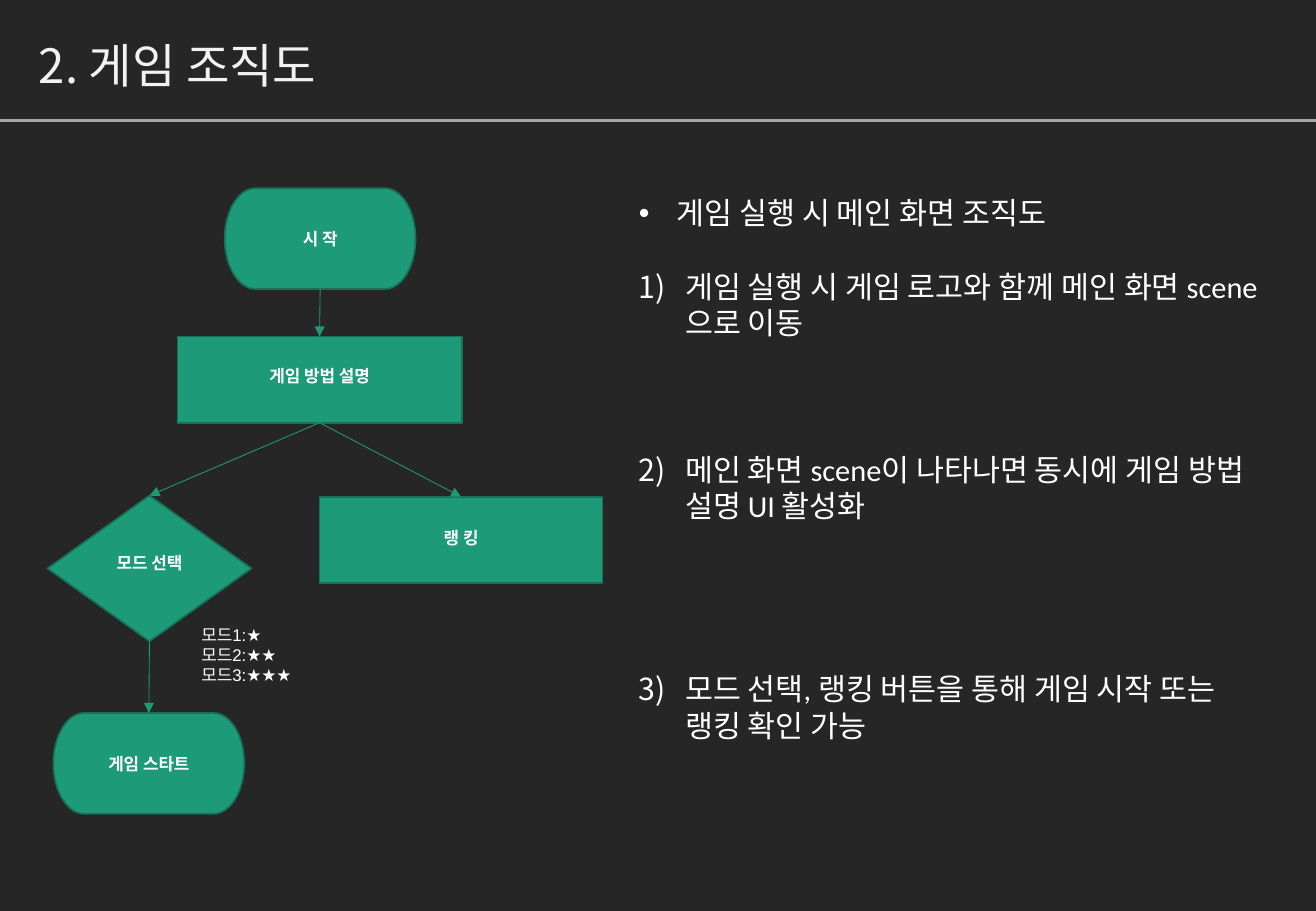
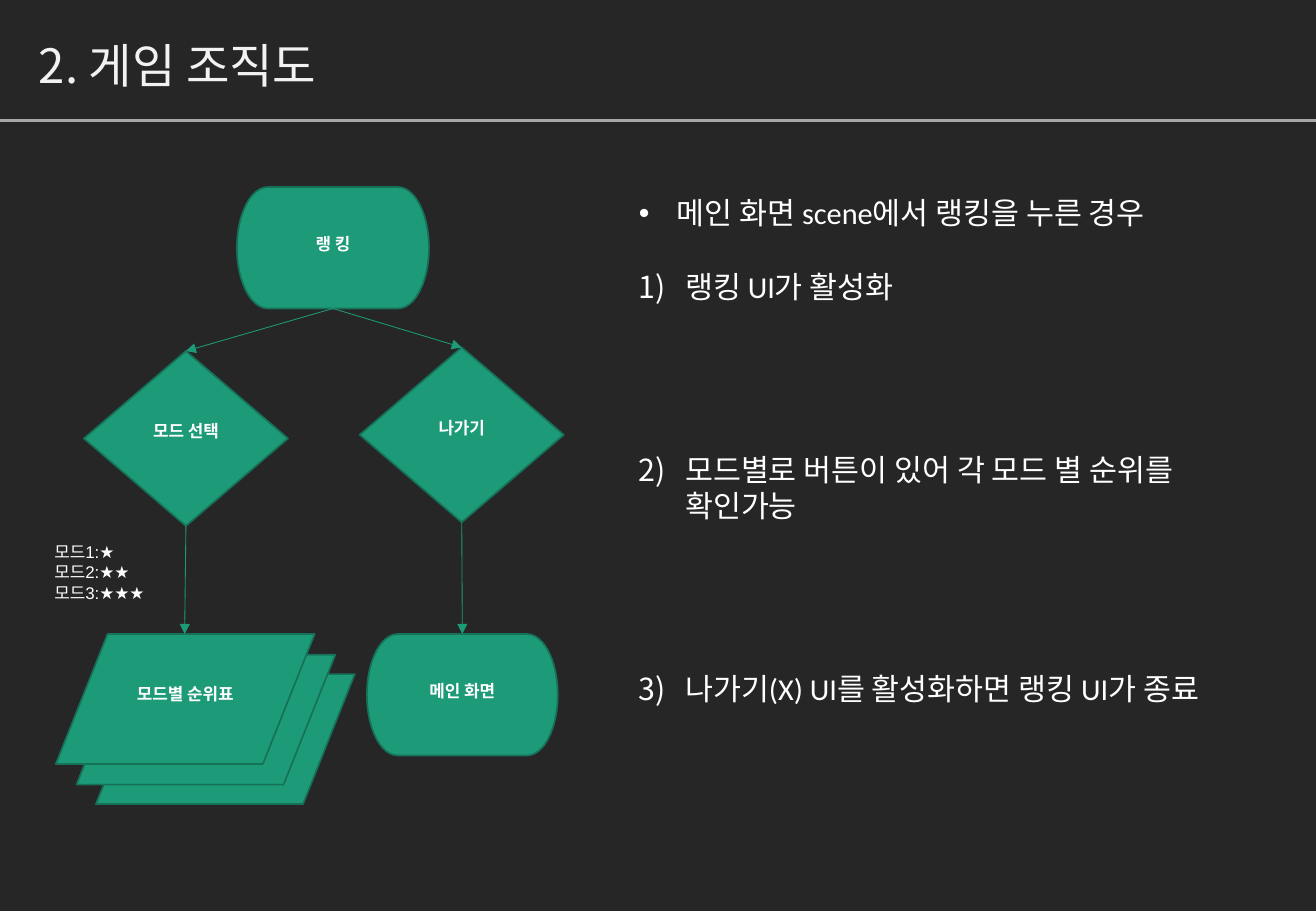
"""Build two slides that chart the flow of a game beside numbered notes."""
from lxml.etree import SubElement
from pptx import Presentation
from pptx.dml.color import RGBColor
from pptx.enum.shapes import MSO_CONNECTOR as CONN, MSO_SHAPE as SHAPE
from pptx.enum.text import MSO_ANCHOR as ANCHOR, PP_ALIGN as ALIGN
from pptx.oxml.ns import qn
from pptx.util import Emu, Pt

PX = 9144
W, H = 1083, 750
RULE_Y = 99
LINE_PT = 21.7
DARK = RGBColor(0x26, 0x26, 0x26)
GRAY = RGBColor(0xA6, 0xA6, 0xA6)
LIGHT = RGBColor(0xF2, 0xF2, 0xF2)
WHITE = RGBColor(0xFF, 0xFF, 0xFF)
GREEN = RGBColor(0x1D, 0x9A, 0x78)
EDGE = RGBColor(0x15, 0x72, 0x59)

TITLE = "2. 게임 조직도"
MODES = ["모드1:★", "모드2:★★", "모드3:★★★"]
TERM, PROC = SHAPE.FLOWCHART_TERMINATOR, SHAPE.FLOWCHART_PROCESS
DECIDE, DATA = SHAPE.FLOWCHART_DECISION, SHAPE.FLOWCHART_DATA

SLIDES = [
    {
        "nodes": {
            "start": (TERM, (185, 155, 157, 83), "시 작", 0),
            "guide": (PROC, (146, 277, 234, 71), "게임 방법 설명", 3),
            "mode": (DECIDE, (39, 408, 168, 120), "모드 선택", 5),
            "play": (TERM, (44, 587, 157, 83), "게임 스타트", 0),
            "rank": (PROC, (263, 409, 233, 71), "랭 킹", 2),
        },
        "arrows": [("start", "guide"), ("guide", "mode"),
                   ("guide", "rank"), ("mode", "play")],
        "modes_at": (156, 509, 157, 79),
        "heading": "게임 실행 시 메인 화면 조직도",
        "steps": [
            (1, "게임 실행 시 게임 로고와 함께 메인 화면 scene으로 이동"),
            (3, "메인 화면 scene이 나타나면 동시에 게임 방법 설명 UI 활성화"),
            (4, "모드 선택, 랭킹 버튼을 통해 게임 시작 또는 랭킹 확인 가능"),
        ],
    },
    {
        "nodes": {
            "rank": (TERM, (195, 154, 158, 100), "랭 킹", 3),
            "exit": (DECIDE, (296, 286, 168, 144), "나가기", 6),
            "main": (TERM, (302, 522, 157, 100), "메인 화면", 3),
            "mode": (DECIDE, (69, 289, 168, 144), "모드 선택", 6),
            "back": (DATA, (79, 555, 213, 107), "", 0),
            "middle": (DATA, (63, 539, 213, 107), "", 0),
            "table": (DATA, (46, 522, 213, 107), "모드별 순위표", 4),
        },
        "arrows": [("rank", "mode"), ("rank", "exit"),
                   ("exit", "main"), ("mode", "table")],
        "modes_at": (35, 441, 157, 79),
        "heading": "메인 화면 scene에서 랭킹을 누른 경우",
        "steps": [
            (1, "랭킹 UI가 활성화"),
            (4, "모드별로 버튼이 있어 각 모드 별 순위를 확인가능"),
            (4, "나가기(X) UI를 활성화하면 랭킹 UI가 종료"),
        ],
    },
]


def emu(*lengths):
    return [Emu(n * PX) for n in lengths]


def write(tf, lines, size=10, font="Arial", color=WHITE, bold=False,
          align=ALIGN.LEFT, anchor=ANCHOR.TOP, wrap=True, asian=None):
    tf.word_wrap = wrap
    tf.vertical_anchor = anchor
    for i, line in enumerate(lines):
        p = tf.add_paragraph() if i else tf.paragraphs[0]
        p.alignment = align
        r = p.add_run()
        r.text = line
        f = r.font
        f.size, f.name, f.bold = Pt(size), font, bold
        f.color.rgb = color
        if asian:
            SubElement(r._r.get_or_add_rPr(), qn("a:ea"), typeface=asian)


def add_line(s, ends, color, width, arrow=False):
    c = s.shapes.add_connector(CONN.STRAIGHT, *emu(*ends))
    c.line.color.rgb = color
    c.line.width = Pt(width)
    if arrow:
        SubElement(c.line._get_or_add_ln(), qn("a:tailEnd"), type="triangle")
    SubElement(c._element.spPr, qn("a:effectLst"))
    return c


def add_node(s, kind, box, label, lift):
    sp = s.shapes.add_shape(kind, *emu(*box))
    sp.shadow.inherit = False
    sp.fill.solid()
    sp.fill.fore_color.rgb = GREEN
    sp.line.color.rgb = EDGE
    sp.line.width = Pt(1)
    if label:
        tf = sp.text_frame
        tf.margin_left = tf.margin_right = tf.margin_top = 0
        tf.margin_bottom = Emu(2 * lift * PX)
        write(tf, [label], bold=True, align=ALIGN.CENTER,
              anchor=ANCHOR.MIDDLE, wrap=False)
    return sp


def add_flow(s, nodes, arrows):
    shapes = {name: add_node(s, *node) for name, node in nodes.items()}
    for a, b in arrows:
        (x1, y1, w1, h1), (x2, y2, w2, _) = nodes[a][1], nodes[b][1]
        ends = (x1 + w1 // 2, y1 + h1, x2 + w2 // 2, y2)
        c = add_line(s, ends, GREEN, 0.5, arrow=True)
        c.begin_connect(shapes[a], 2)
        if nodes[b][0] != DATA:
            c.end_connect(shapes[b], 0)


def add_notes(s, heading, steps):
    tf = s.shapes.add_textbox(*emu(516, 155, 529, 525)).text_frame
    write(tf, [heading] + [text for _, text in steps], size=18, font="Calibri")
    gaps = [0] + [gap for gap, _ in steps]
    for i, (p, gap) in enumerate(zip(tf.paragraphs, gaps)):
        p.line_spacing = Pt(LINE_PT)
        p.space_before = Pt(gap * LINE_PT)
        pPr = p._p.get_or_add_pPr()
        indent = (38 if i else 31) * PX
        pPr.set("marL", str(indent))
        pPr.set("indent", str(-indent))
        if i:
            SubElement(pPr, qn("a:buFont"), typeface="+mj-lt")
            SubElement(pPr, qn("a:buAutoNum"), type="arabicParenR")
        else:
            SubElement(pPr, qn("a:buFont"), typeface="Arial")
            SubElement(pPr, qn("a:buChar"), char="•")


def add_frame(prs):
    s = prs.slides.add_slide(prs.slide_layouts[5])
    add_line(s, (0, RULE_Y, W, RULE_Y), GRAY, 2)
    t = s.shapes.title
    t.left, t.top, t.width, t.height = emu(22, 25, 710, 57)
    write(t.text_frame, [TITLE], size=28, font="Noto Sans CJK KR",
          color=LIGHT, anchor=ANCHOR.MIDDLE, asian="Noto Sans CJK KR")
    return s


def main():
    prs = Presentation()
    prs.slide_width, prs.slide_height = emu(W, H)
    bg = prs.slide_master.background.fill
    bg.solid()
    bg.fore_color.rgb = DARK
    for d in SLIDES:
        s = add_frame(prs)
        add_flow(s, d["nodes"], d["arrows"])
        write(s.shapes.add_textbox(*emu(*d["modes_at"])).text_frame, MODES)
        add_notes(s, d["heading"], d["steps"])
    prs.save("out.pptx")


if __name__ == "__main__":
    main()
